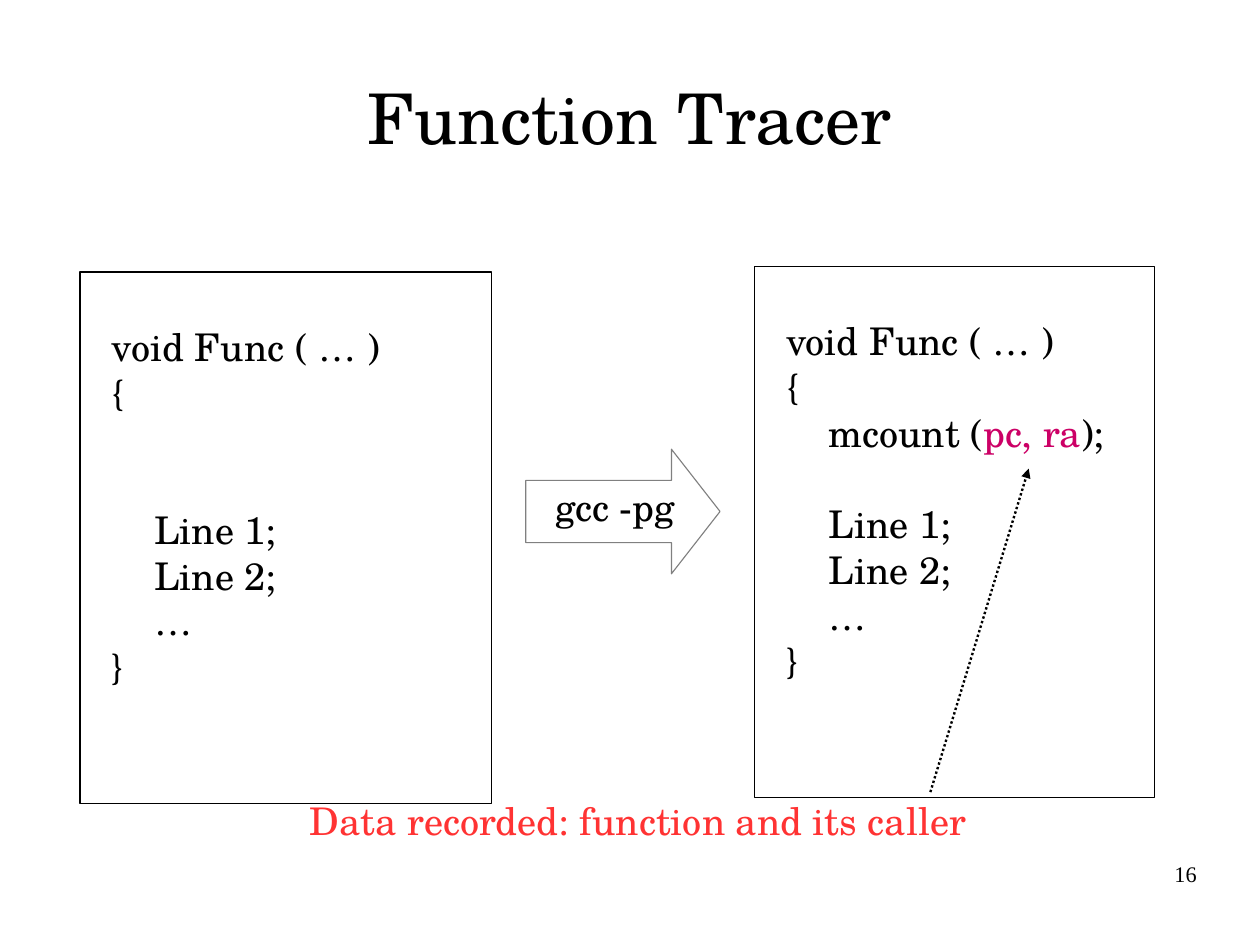
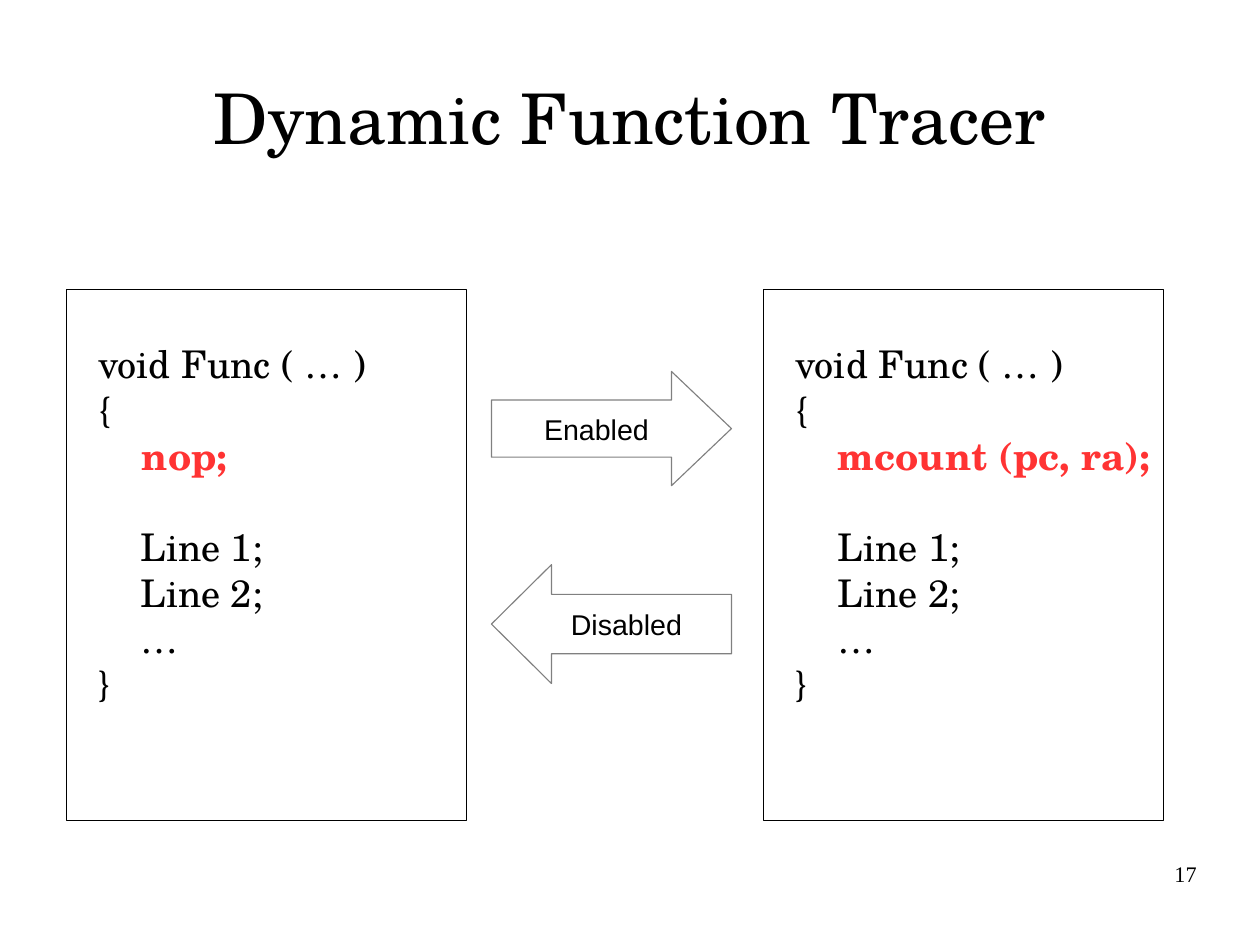
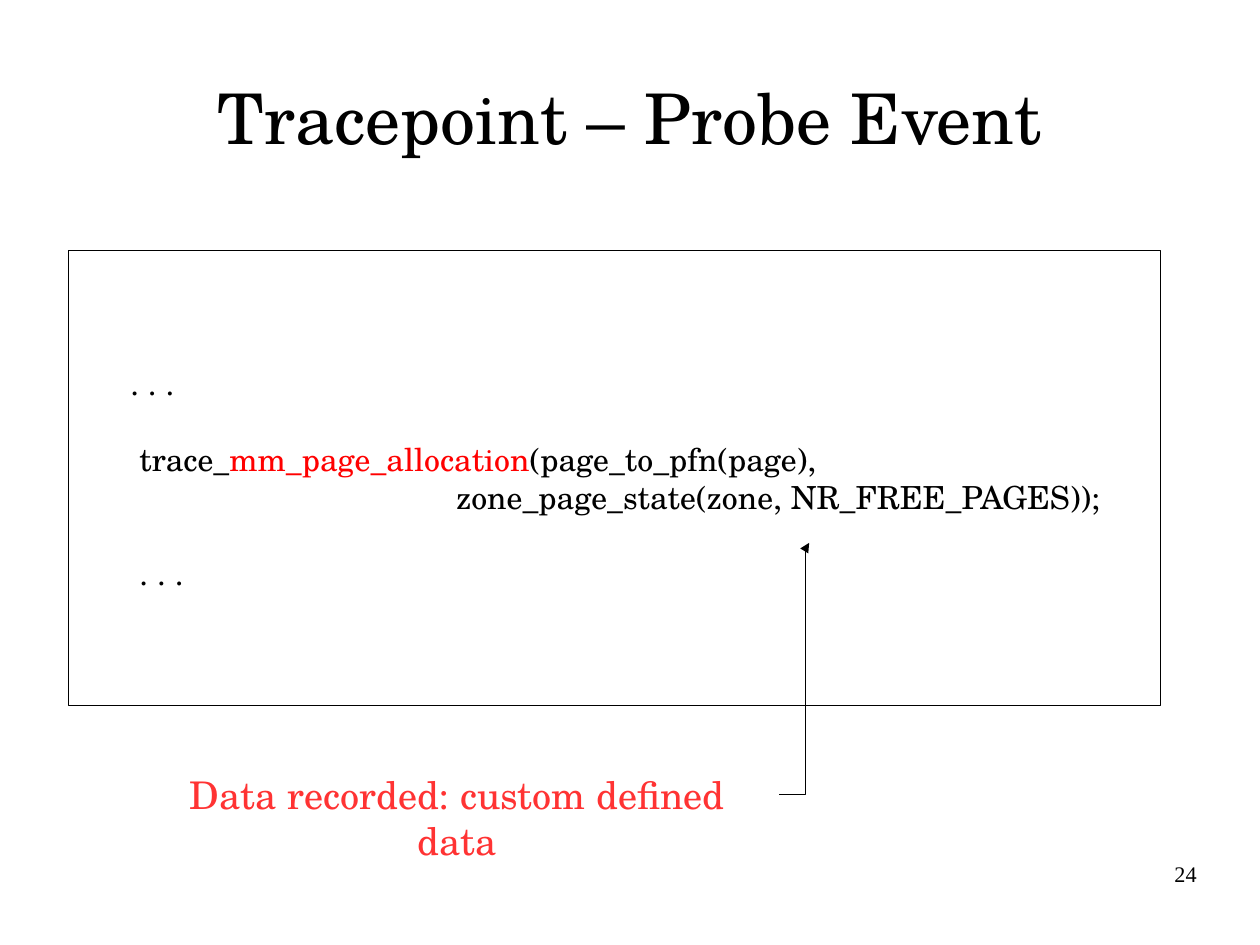
import pptx
import pptx.util
import pptx.dml.color
import pptx.enum.dml
import pptx.enum.shapes
import pptx.enum.text
import pptx.oxml.ns
import lxml.etree

Inches = pptx.util.Inches
Pt = pptx.util.Pt
Shape = pptx.enum.shapes.MSO_SHAPE
Link = pptx.enum.shapes.MSO_CONNECTOR
Align = pptx.enum.text.PP_ALIGN
Anchor = pptx.enum.text.MSO_ANCHOR

BLACK, GREY, RED, PINK, BRIGHT = "000000", "808080", "FF3333", "CC0066", "FF0000"
SERIF, SANS, TIMES = "TeX Gyre Schola", "Arial", "Times New Roman"
PAD = (0.1, 0.05, 0.1, 0.05)
FLUSH = (0, 0, 0, 0)
PITCH = 1.2  # line height as a share of the font size


def paint(value):
    return pptx.dml.color.RGBColor.from_string(value)


def row(*runs, skip=0, left=0):
    """One line of text: runs, empty lines to leave above, left indent."""
    return runs, skip, left


def write(frame, *rows, size=24, face=SERIF, color=BLACK, align=Align.LEFT,
          anchor=Anchor.TOP, pad=PAD, wrap=True):
    """Fill a frame; a run is a string or (string, color, bold)."""
    frame.auto_size = pptx.enum.text.MSO_AUTO_SIZE.NONE
    frame.word_wrap = wrap
    frame.vertical_anchor = anchor
    (frame.margin_left, frame.margin_top,
     frame.margin_right, frame.margin_bottom) = map(Inches, pad)
    for i, item in enumerate(rows):
        runs, skip, left = row(item) if isinstance(item, str) else item
        para = frame.add_paragraph() if i else frame.paragraphs[0]
        para.alignment = align
        if skip:
            para.space_before = Pt(skip * size * PITCH)
        if left:
            para._p.get_or_add_pPr().set("marL", str(Inches(left)))
        for part in runs:
            text, hue, bold = (part, color, False) if isinstance(part, str) else part
            run = para.add_run()
            run.text = text
            run.font.size, run.font.name, run.font.bold = Pt(size), face, bold
            run.font.color.rgb = paint(hue)


class Deck:
    def __init__(self):
        self.file = pptx.Presentation()
        # 28 by 21 centimetres
        self.file.slide_width = Inches(28 / 2.54)
        self.file.slide_height = Inches(21 / 2.54)
        self.slide = None

    def start(self, title, number):
        """Add a slide with its title and number."""
        self.slide = self.file.slides.add_slide(self.file.slide_layouts[5])
        head = self.slide.shapes.title
        head.left, head.top, head.width, head.height = map(Inches, (0.55, 0.33, 9.92, 1.38))
        write(head.text_frame, title, size=44, align=Align.CENTER,
              anchor=Anchor.MIDDLE, pad=FLUSH)
        self.label((7.9, 7.53, 2.57, 0.57), str(number), size=14, face=TIMES,
                   align=Align.RIGHT, pad=FLUSH)

    def label(self, place, text, **style):
        box = self.slide.shapes.add_textbox(*map(Inches, place))
        write(box.text_frame, text, **style)

    def shape(self, kind, place, *rows, edge=BLACK, width=0.71, bend=None, **style):
        item = self.slide.shapes.add_shape(kind, *map(Inches, place))
        item.shadow.inherit = False
        item.fill.background()
        item.line.color.rgb = paint(edge)
        item.line.width = Pt(width)
        if bend is not None:
            item.adjustments[0], item.adjustments[1] = 0.5, bend
        write(item.text_frame, *rows, **style)

    def code(self, place, *body, skip=0):
        """Box with a function whose body starts with the given rows."""
        self.shape(Shape.RECTANGLE, place, "void Func ( … )", "{", *body,
                   row("    Line 1;", skip=skip), "    Line 2;", "    …", "}",
                   pad=(0.28, 0.45, 0, 0.05))

    def arrow(self, kind, place, bend, *rows):
        self.shape(kind, place, *rows, edge=GREY, bend=bend, size=18, face=SANS,
                   align=Align.CENTER, anchor=Anchor.MIDDLE, wrap=False)

    def link(self, kind, start, end, width=0.71, dash=None, bend=None):
        """Connector with an arrowhead at its end."""
        line = self.slide.shapes.add_connector(kind, *map(Inches, start + end))
        line.line.color.rgb = paint(BLACK)
        line.line.width = Pt(width)
        if dash:
            line.line.dash_style = dash
        tag = pptx.oxml.ns.qn
        props = line._element.spPr
        lxml.etree.SubElement(props.find(tag("a:ln")), tag("a:tailEnd"), type="triangle")
        lxml.etree.SubElement(props, tag("a:effectLst"))
        if bend is not None:
            guides = props.find(tag("a:prstGeom")).get_or_add_avLst()
            lxml.etree.SubElement(guides, tag("a:gd"), name="adj1",
                                  fmla=f"val {round(bend * 100000)}")


def main():
    deck = Deck()

    # Function tracer
    deck.start("Function Tracer", 16)
    deck.code((0.7, 2.38, 3.6, 4.65), skip=2)
    deck.code((6.6, 2.33, 3.5, 4.65),
              row("    mcount (", ("pc, ra", PINK, False), ");"), skip=1)
    deck.arrow(Shape.RIGHT_ARROW, (4.6, 3.93, 1.7, 1.09), 0.39)
    deck.label((4.74, 4.18, 1.28, 0.55), "gcc -pg", align=Align.CENTER, wrap=False)
    deck.label((2.52, 6.93, 6.12, 0.55), "Data recorded: function and its caller",
               color=RED, align=Align.CENTER, wrap=False)
    deck.link(Link.STRAIGHT, (8.14, 6.93), (9, 4.1), width=1.5,
              dash=pptx.enum.dml.MSO_LINE.ROUND_DOT)

    # Dynamic function tracer
    deck.start("Dynamic Function Tracer", 17)
    for left, call in ((0.58, row(("    nop;", RED, True))),
                       (6.68, row("    ", ("mcount (pc, ra);", RED, True)))):
        deck.code((left, 2.53, 3.5, 4.65), call, skip=1)
    deck.arrow(Shape.RIGHT_ARROW, (4.3, 3.25, 2.1, 1), 0.525, "Enabled")
    deck.arrow(Shape.LEFT_ARROW, (4.3, 4.94, 2.1, 1.04), 0.505, "Disabled")

    # Probe event
    deck.start("Tracepoint – Probe Event", 24)
    deck.shape(Shape.RECTANGLE, (0.6, 2.19, 9.55, 3.98),
               row(". . .", left=0.54),
               row("trace_", ("mm_page_allocation", BRIGHT, False),
                   "(page_to_pfn(page),", skip=1, left=0.62),
               row("zone_page_state(zone, NR_FREE_PAGES));", left=3.39),
               row(". . .", skip=1, left=0.62),
               width=0, size=20, anchor=Anchor.MIDDLE, pad=FLUSH)
    deck.label((1.19, 6.7, 5.62, 1.01), "Data recorded: custom defined data",
               color=RED, align=Align.CENTER)
    deck.link(Link.ELBOW, (6.82, 6.95), (7.08, 4.75), bend=0.88)

    deck.file.save("out.pptx")


if __name__ == "__main__":
    main()
